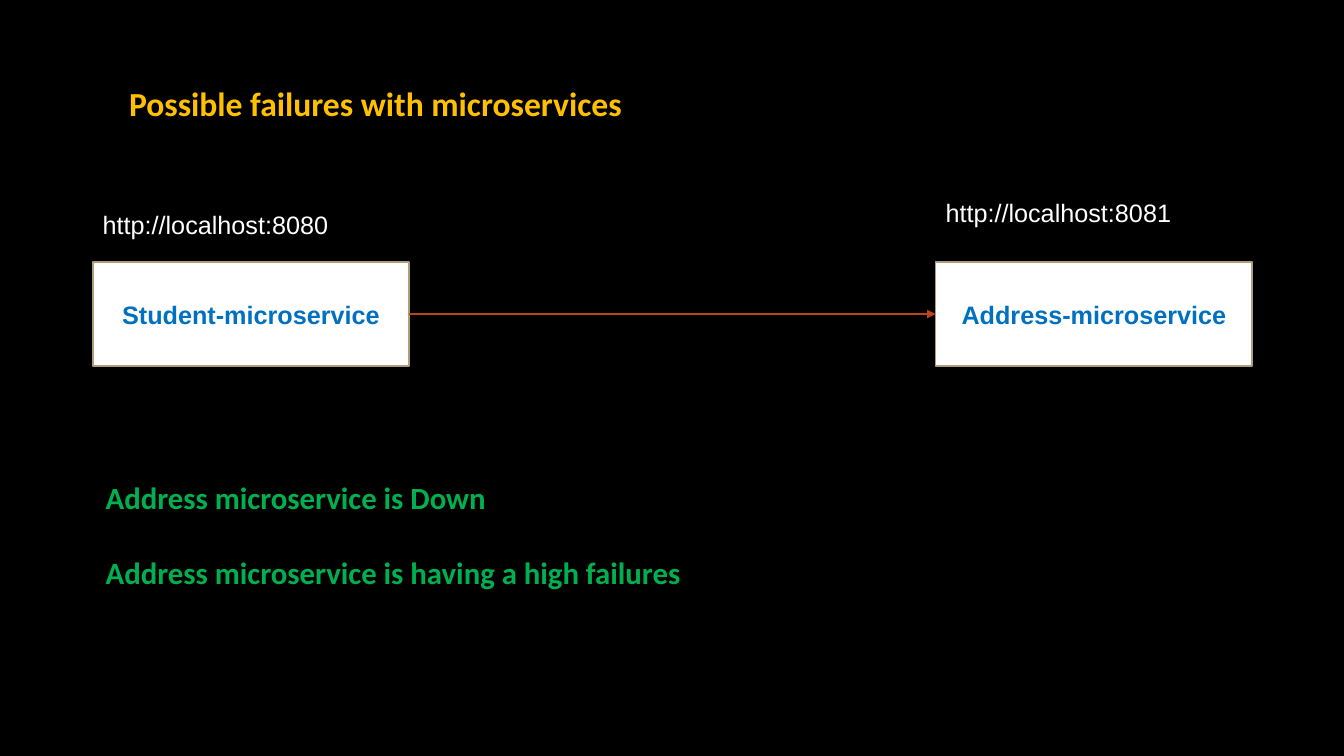
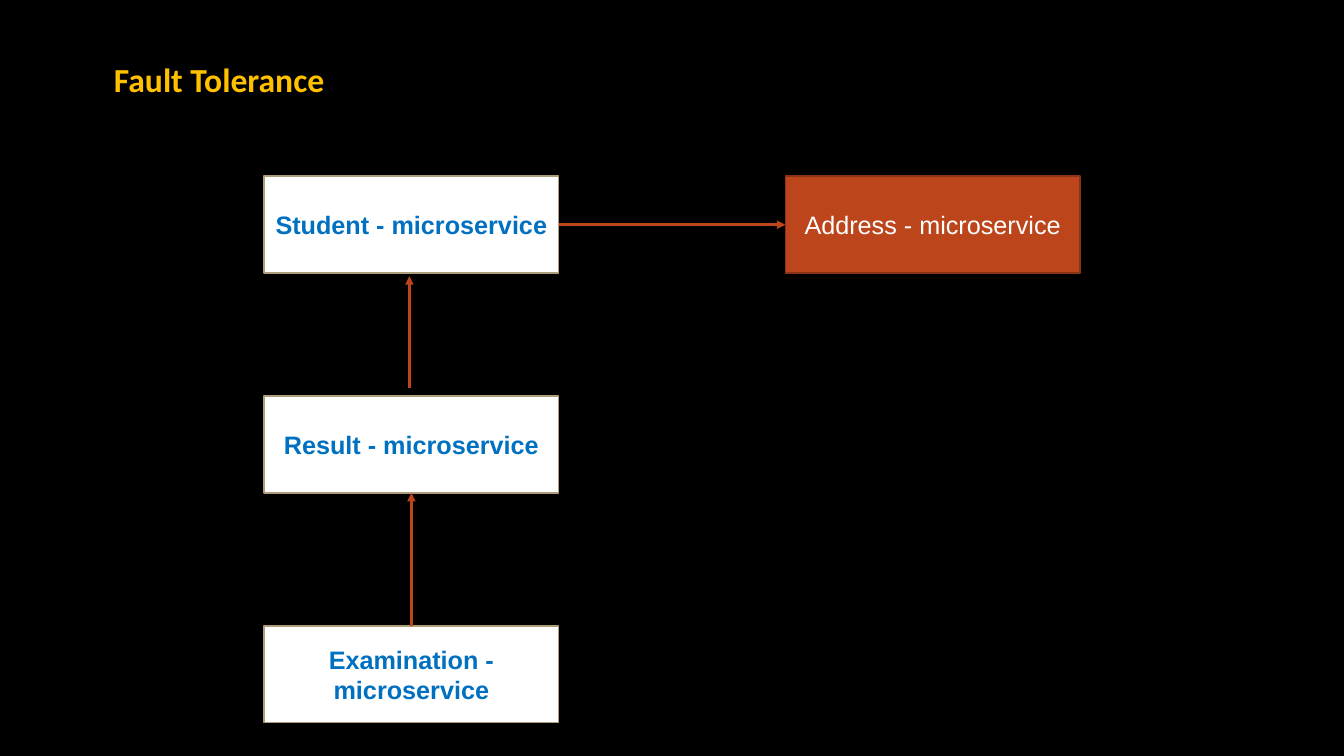
from lxml import etree
from pptx import Presentation
from pptx import util as u
from pptx.dml.color import RGBColor
from pptx.enum import shapes, text
from pptx.oxml.ns import qn

COLORS = {
    "background": "000000",
    "title": "FFC000",
    "white": "FFFFFF",
    "box_line": "AD9D7B",
    "box_text": "0070C0",
    "accent": "BC451B",
    "accent_line": "8B3314",
    "point": "00B050",
}
TITLE_ONLY = 5
TOP, LEFT, BOTTOM, RIGHT = range(4)


def color(name):
    return RGBColor.from_string(COLORS[name])


def add_run(paragraph, words, font, size, color_name, bold=False):
    run = paragraph.add_run()
    run.text = words
    run.font.name = font
    run.font.size = u.Pt(size)
    run.font.bold = bold
    run.font.color.rgb = color(color_name)


def add_slide(presentation, title, left, top, width):
    slide = presentation.slides.add_slide(presentation.slide_layouts[TITLE_ONLY])
    shape = slide.shapes.title
    shape.left, shape.top = u.Inches(left), u.Inches(top)
    shape.width, shape.height = u.Inches(width), u.Inches(0.5)
    frame = shape.text_frame
    frame.vertical_anchor = text.MSO_ANCHOR.TOP
    frame.auto_size = text.MSO_AUTO_SIZE.NONE
    paragraph = frame.paragraphs[0]
    paragraph.alignment = text.PP_ALIGN.LEFT
    add_run(paragraph, title, "Calibri", 24, "title", bold=True)
    return slide


def add_text(slide, lines, left, top, width, height, font, size, color_name,
             bold=False, gap=0):
    box = slide.shapes.add_textbox(*map(u.Inches, (left, top, width, height)))
    frame = box.text_frame
    frame.word_wrap = True
    for index, line in enumerate(lines):
        paragraph = frame.add_paragraph() if index else frame.paragraphs[0]
        paragraph.space_before = u.Pt(gap if index else 0)
        add_run(paragraph, line, font, size, color_name, bold)


def add_service(slide, name, left, top, width, height, failed=False):
    shape = slide.shapes.add_shape(
        shapes.MSO_SHAPE.RECTANGLE, *map(u.Inches, (left, top, width, height)))
    shape.shadow.inherit = False
    shape.fill.solid()
    shape.fill.fore_color.rgb = color("accent" if failed else "white")
    shape.line.color.rgb = color("accent_line" if failed else "box_line")
    shape.line.width = u.Pt(1.25)
    frame = shape.text_frame
    frame.word_wrap = True
    frame.vertical_anchor = text.MSO_ANCHOR.MIDDLE
    paragraph = frame.paragraphs[0]
    paragraph.alignment = text.PP_ALIGN.CENTER
    add_run(paragraph, name, "Arial", 18,
            "white" if failed else "box_text", bold=not failed)
    return shape


def add_arrow(slide, start=(0, 0), end=(0, 0)):
    arrow = slide.shapes.add_connector(
        shapes.MSO_CONNECTOR.STRAIGHT, *map(u.Inches, (*start, *end)))
    arrow.line.color.rgb = color("accent")
    arrow.line.width = u.Pt(2)
    line = arrow.line._get_or_add_ln()
    etree.SubElement(line, qn("a:tailEnd"), type="triangle")
    etree.SubElement(arrow._element.spPr, qn("a:effectLst"))
    return arrow


def join(slide, source, source_side, target, target_side):
    arrow = add_arrow(slide)
    arrow.begin_connect(source, source_side)
    arrow.end_connect(target, target_side)


def build_failures(presentation):
    slide = add_slide(presentation, "Possible failures with microservices",
                      1.18, 0.77, 11.32)
    # Services with their addresses
    services = []
    for name, port, left, label_top in (("Student", 8080, 0.92, 2.03),
                                        ("Address", 8081, 9.28, 1.91)):
        services.append(
            add_service(slide, f"{name}-microservice", left, 2.6, 3.14, 1.03))
        add_text(slide, [f"http://localhost:{port}"], left, label_top, 3.14, 0.4,
                 "Arial", 18, "white")
    student, address = services
    join(slide, student, RIGHT, address, LEFT)
    # Kinds of failure
    add_text(slide, ["Address microservice is Down",
                     "Address microservice is having a high failures"],
             0.95, 4.7, 11.78, 1.21, "Calibri", 22, "point", bold=True, gap=27)


def build_fault_tolerance(presentation):
    slide = add_slide(presentation, "Fault Tolerance", 1.03, 0.53, 7.77)
    # Chain of services, with the failed one on the right
    size = (2.92, 0.96)
    student, result, examination = [
        add_service(slide, f"{name} - microservice", 2.62, top, *size)
        for name, top in (("Student", 1.75), ("Result", 3.93), ("Examination", 6.21))]
    address = add_service(slide, "Address - microservice", 7.79, 1.75, *size,
                          failed=True)
    # Calls between services
    join(slide, student, RIGHT, address, LEFT)
    add_arrow(slide, (4.06, 3.85), (4.06, 2.74))
    join(slide, examination, TOP, result, BOTTOM)


def main():
    presentation = Presentation()
    presentation.slide_width = u.Inches(13.33)
    presentation.slide_height = u.Inches(7.5)
    # Shared background
    fill = presentation.slide_master.background.fill
    fill.solid()
    fill.fore_color.rgb = color("background")
    build_failures(presentation)
    build_fault_tolerance(presentation)
    presentation.save("out.pptx")


if __name__ == "__main__":
    main()
